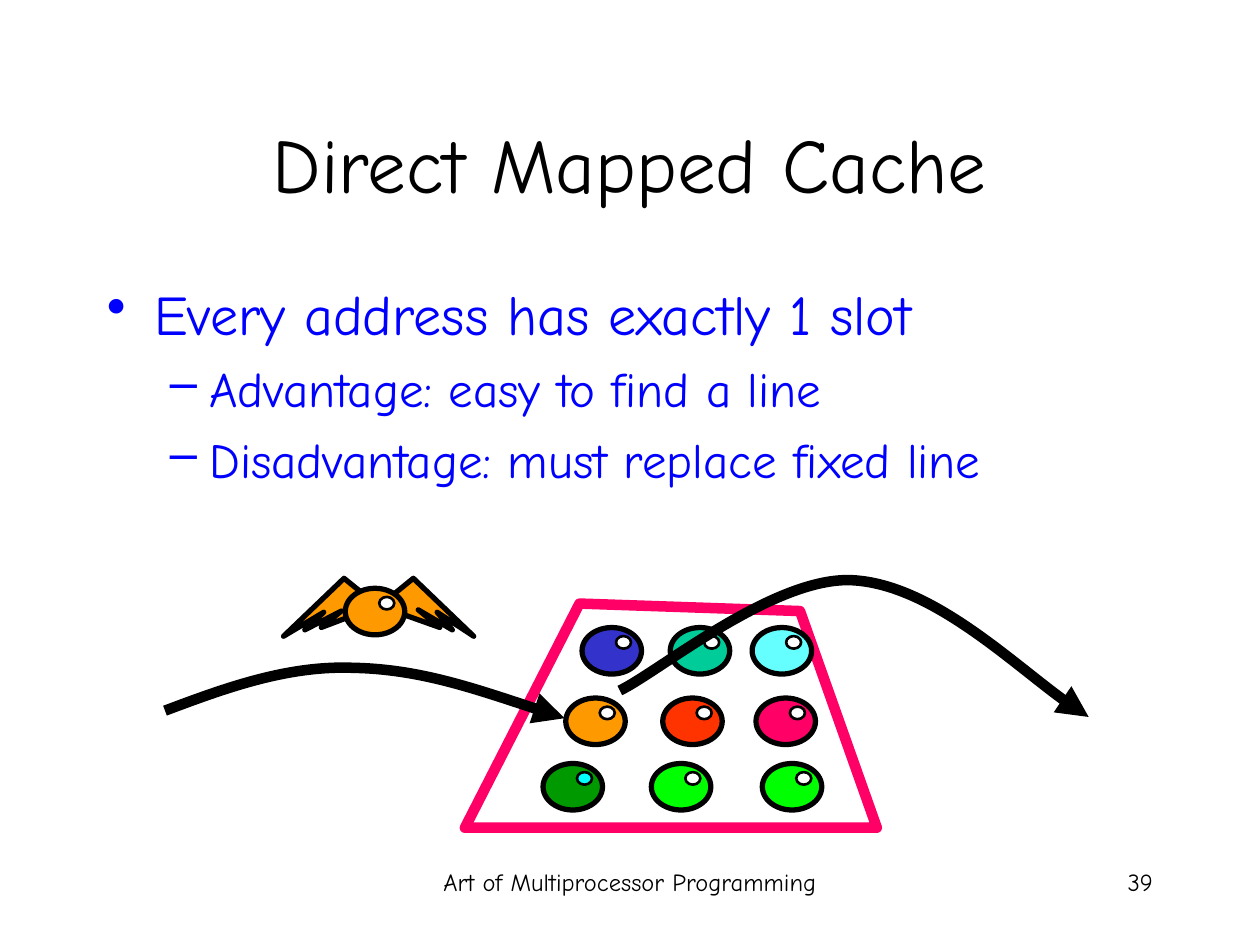
from lxml.etree import SubElement
from pptx import Presentation
from pptx.dml.color import RGBColor
from pptx.enum.shapes import MSO_SHAPE as Shape
from pptx.enum.text import MSO_ANCHOR as Anchor, PP_ALIGN as Align
from pptx.oxml.ns import qn
from pptx.util import Pt

COLORS = {
    "black": "000000", "white": "FFFFFF", "blue": "0000FF", "pink": "FF0066",
    "lime": "00FF00", "green": "009900", "cyan": "00FFFF", "orange": "FF9900",
    "red": "FF3300", "sky": "66FFFF", "teal": "00CC99", "indigo": "3333CC",
}
FONT = "Comic Neue"

# Each row of the cache: top edge, then left edge and colour of each line
BOTTOM_ROW = 436.3, [(435.6, "lime"), (372.2, "lime"), (310.3, "green")]
MIDDLE_ROW = 398.9, [(432, "pink"), (378.7, "red"), (323.3, "orange")]
TOP_ROW = 358.6, [(429.8, "sky"), (383, "teal"), (332.6, "indigo")]

CACHE_FRAME = [(331.2, 344.9), (265.7, 473), (501.1, 473), (457.2, 349.2)]
RIGHT_WING = [(220.3, 343.4), (236.2, 330.5), (270.7, 363.6), (249.8, 349.9),
              (258.5, 360), (239, 348.5), (251.3, 358.6), (216.7, 346.3)]
LEFT_WING = [(211.7, 342.7), (196.6, 330.5), (162, 363.6), (185, 349.9),
             (174.2, 360), (195.1, 349.2), (183.6, 358.6), (216, 346.3)]
# Start point, then two control points and an end point per curve
LOAD_CURVE = [(94.3, 406.1), (128.9, 393.1), (164.2, 380.2), (201.6, 381.6),
              (239.8, 382.3), (280.8, 396.7), (322.6, 410.4)]
EVICT_CURVE = [(354.2, 394.6), (376.6, 383.8), (442.8, 329), (487.4, 331.6),
               (532.1, 334.1), (594, 393.1), (622.1, 409.7)]


def rgb(color):
    return RGBColor.from_string(COLORS[color])


def write(paragraph, text, size=14, color="black", align=Align.LEFT, before=0):
    paragraph.alignment = align
    paragraph.space_before = Pt(before)
    run = paragraph.add_run()
    run.text = text
    run.font.name = FONT
    run.font.size = Pt(size)
    run.font.color.rgb = rgb(color)


def add_bullet(paragraph, mark, color, margin, hanging):
    props = paragraph._p.get_or_add_pPr()
    props.set("marL", str(Pt(margin)))
    props.set("indent", str(-Pt(hanging)))
    SubElement(SubElement(props, qn("a:buClr")), qn("a:srgbClr"), val=COLORS[color])
    SubElement(props, qn("a:buChar"), char=mark)


class SlideBuilder:
    """Draws the elements of one slide in a shared style."""

    def __init__(self, slide):
        self.slide = slide
        self.shapes = slide.shapes

    def style(self, shape, fill, line, width):
        shape.shadow.inherit = False
        if fill:
            shape.fill.solid()
            shape.fill.fore_color.rgb = rgb(fill)
        else:
            shape.fill.background()
        shape.line.color.rgb = rgb(line)
        shape.line.width = Pt(width)

    def title(self, text, *box):
        title = self.shapes.title
        title.left, title.top, title.width, title.height = map(Pt, box)
        title.text_frame.vertical_anchor = Anchor.MIDDLE
        write(title.text_frame.paragraphs[0], text, size=44, align=Align.CENTER)

    def text_box(self, *box):
        frame = self.shapes.add_textbox(*map(Pt, box)).text_frame
        frame.word_wrap = True
        return frame

    def label(self, text, *box, align):
        write(self.text_box(*box).paragraphs[0], text, align=align)

    def bullets(self, items, *box):
        frame = self.text_box(*box)
        for index, (level, text) in enumerate(items):
            paragraph = frame.add_paragraph() if index else frame.paragraphs[0]
            paragraph.level = level
            mark, margin, hanging, size = [("•", 27, 27, 32), ("–", 58.5, 22.5, 28)][level]
            add_bullet(paragraph, mark, "blue", margin, hanging)
            write(paragraph, text, size=size, color="blue", before=7 if index else 0)

    def outline(self, points, fill=None, line="black", width=3, close=True, shapes=None):
        start, *rest = [(Pt(x), Pt(y)) for x, y in points]
        builder = (shapes or self.shapes).build_freeform(*start)
        builder.add_line_segments(rest, close=close)
        shape = builder.convert_to_shape()
        self.style(shape, fill, line, width)
        return shape

    def curved_arrow(self, points):
        """Turn each three segments of an open outline into one Bézier curve."""
        arrow = self.outline(points, width=6, close=False)
        segments = list(arrow.element.iter(qn("a:lnTo")))
        for first in range(0, len(segments), 3):
            curve = SubElement(segments[first].getparent(), qn("a:cubicBezTo"))
            for segment in segments[first:first + 3]:
                curve.append(segment[0])
                segment.getparent().remove(segment)
        line = arrow.element.spPr.find(qn("a:ln"))
        SubElement(line, qn("a:tailEnd"), type="triangle")

    def ellipse(self, shapes, box, fill, width):
        shape = shapes.add_shape(Shape.OVAL, *map(Pt, box))
        self.style(shape, fill, "black", width)

    def ball(self, left, top, color, glint="white", shapes=None):
        shapes = shapes or self.shapes.add_group_shape().shapes
        self.ellipse(shapes, (left, top, 34, 26.6), color, 3)
        self.ellipse(shapes, (left + 19.4, top + 4.9, 8.6, 7.2), glint, 1.5)

    def ball_row(self, top, balls):
        for left, color in balls:
            self.ball(left, top, color, glint="cyan" if color == "green" else "white")

    def winged_ball(self, left, top, color):
        shapes = self.shapes.add_group_shape().shapes
        for wing in (RIGHT_WING, LEFT_WING):
            self.outline(wing, fill=color, shapes=shapes)
        self.ball(left, top, color, shapes=shapes)


def main():
    deck = Presentation()
    deck.slide_width, deck.slide_height = Pt(720), Pt(540)
    page = SlideBuilder(deck.slides.add_slide(deck.slide_layouts[5]))

    page.label("Art of Multiprocessor Programming", 246, 492, 228, 36, align=Align.CENTER)
    page.label("39", 516, 492, 150, 36, align=Align.RIGHT)
    page.title("Direct Mapped Cache", 54, 48, 612, 90)
    page.bullets([
        (0, "Every address has exactly 1 slot"),
        (1, "Advantage: easy to find a line"),
        (1, "Disadvantage: must replace fixed line"),
    ], 54, 156, 612, 324)

    page.outline(CACHE_FRAME, line="pink", width=6)
    page.ball_row(*BOTTOM_ROW)
    page.winged_ball(197.3, 336.2, "orange")
    page.curved_arrow(LOAD_CURVE)
    page.ball_row(*MIDDLE_ROW)
    page.ball_row(*TOP_ROW)
    page.curved_arrow(EVICT_CURVE)

    deck.save("out.pptx")


if __name__ == "__main__":
    main()
